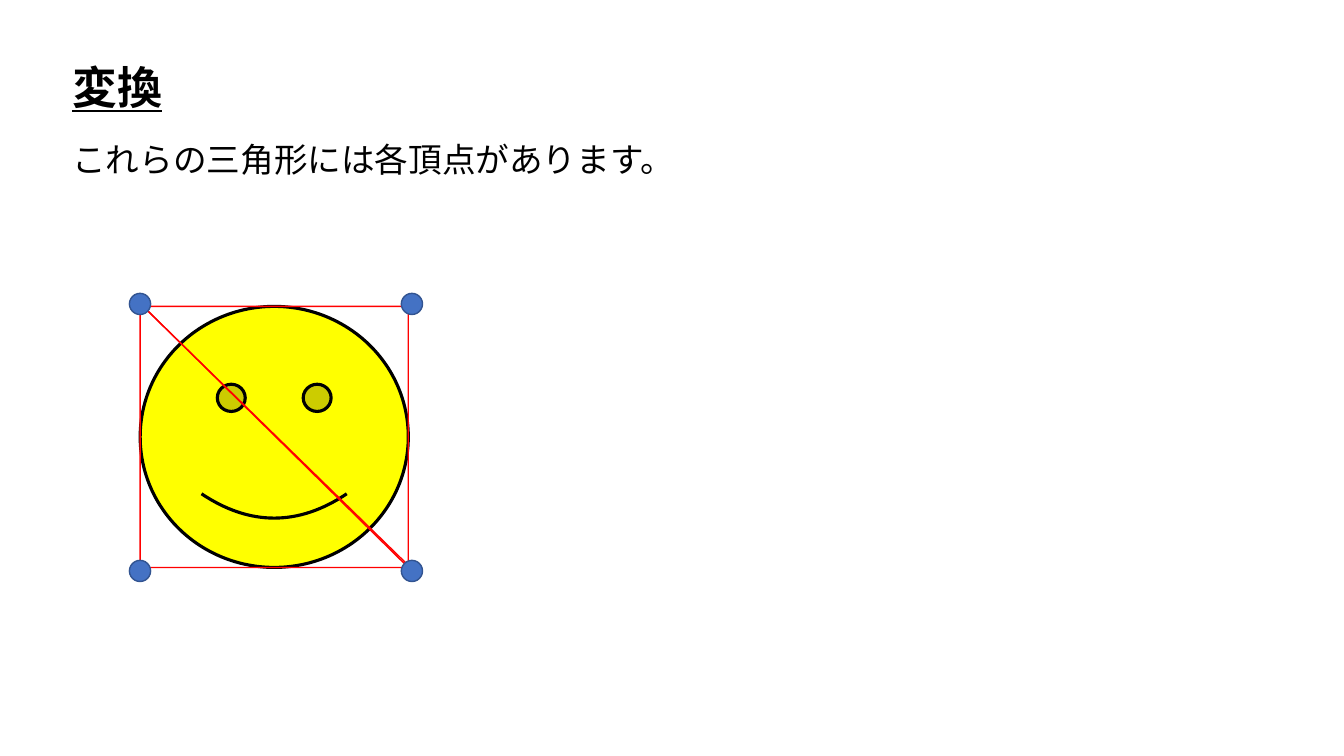
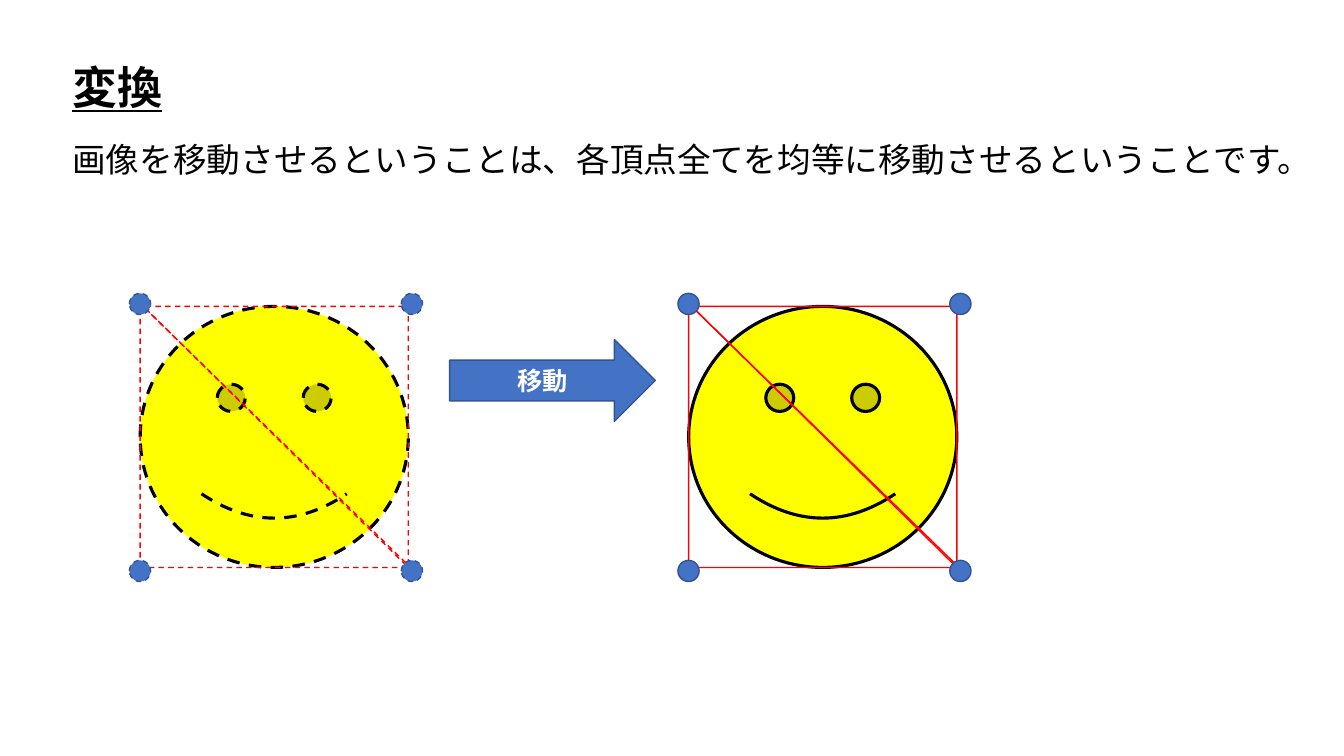
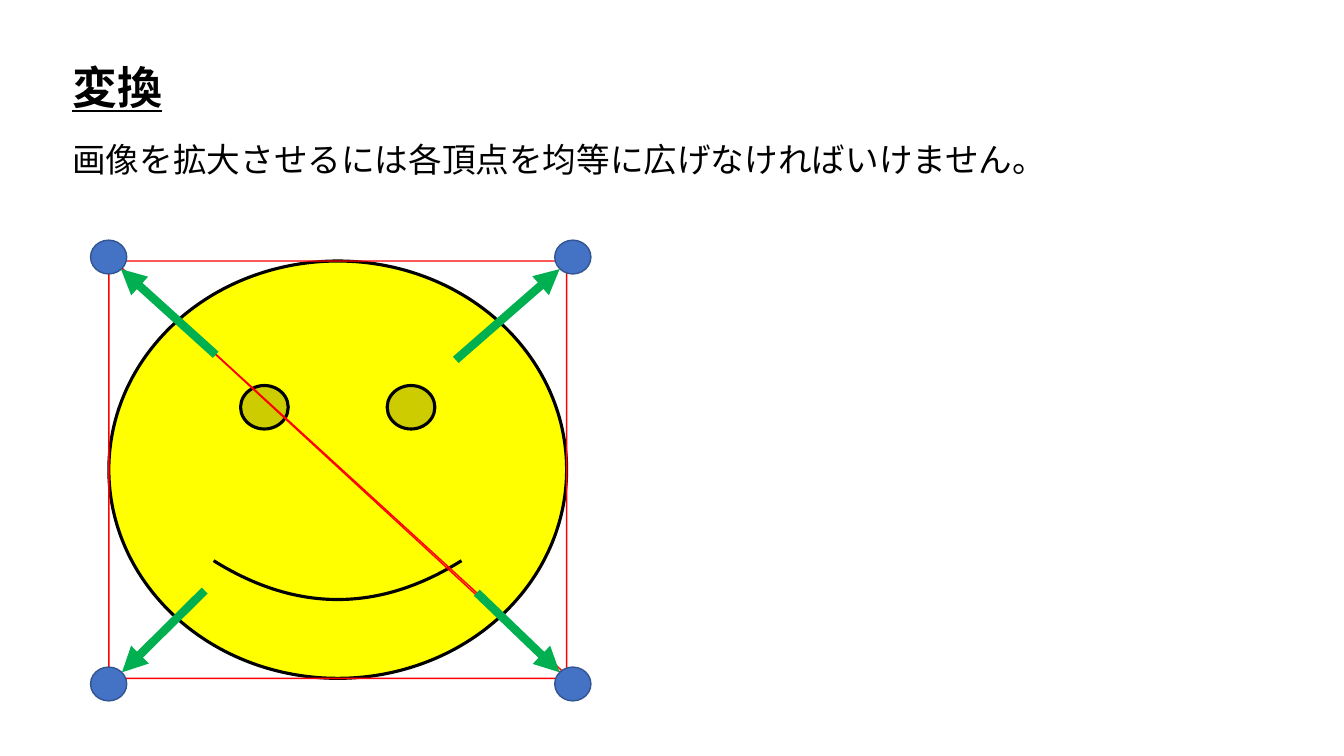
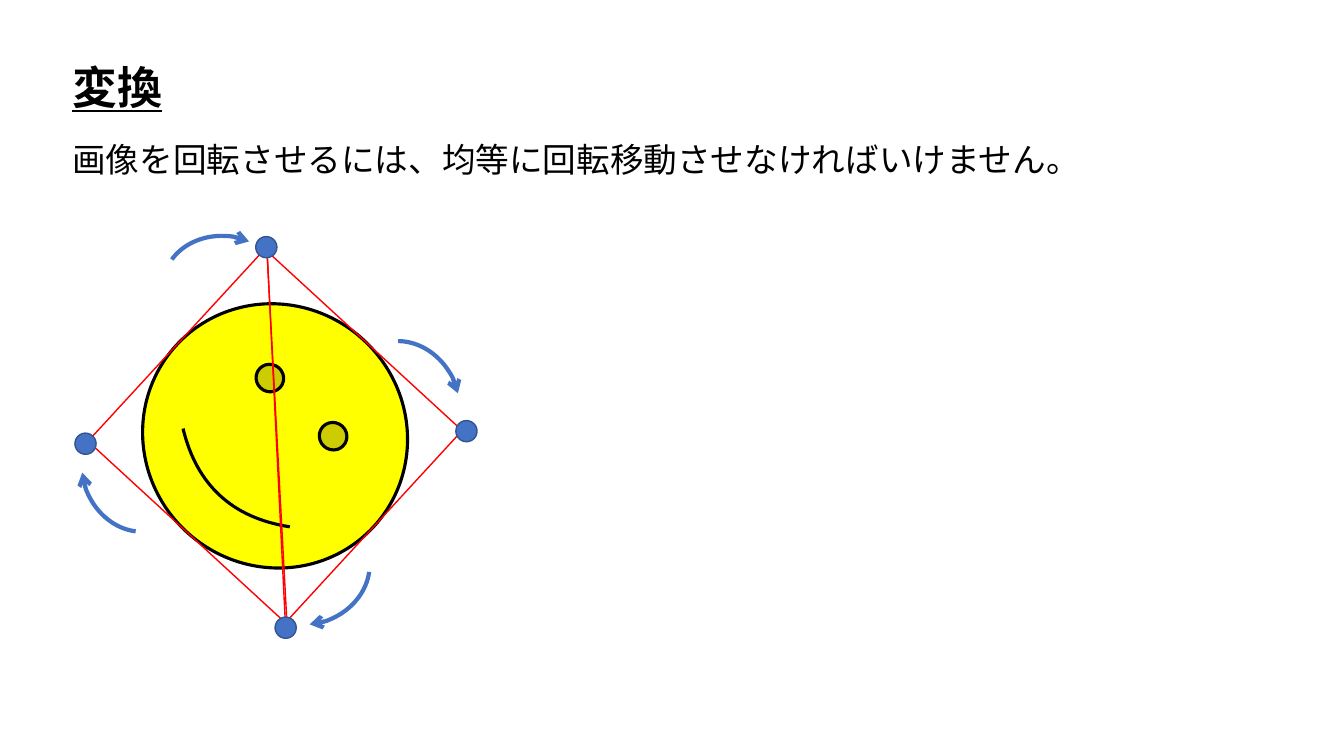
"""Four slides on moving, enlarging and rotating a face by its vertices."""
import itertools
import math

import lxml.etree
import pptx
import pptx.dml.color
import pptx.enum.dml
import pptx.enum.shapes
import pptx.enum.text
import pptx.oxml.ns
import pptx.util

COLORS = {
    "text": "000000", "white": "FFFFFF", "face": "FFFF00", "triangle": "FF0000",
    "vertex": "4472C4", "vertex_edge": "325491", "stretch": "00B050",
}
FONT = "Noto Sans CJK JP"
WIDTH, HEIGHT = pptx.util.Inches(13.33), pptx.util.Inches(7.5)
FACE = (10.43, 40.53, 19.95, 34.53)
MOVED_FACE = (51.24, 40.53, 19.95, 34.53)
LARGE_FACE = (8.1, 34.53, 34.06, 55.2)
FACE_PIVOT = (50.65, 50.2)
TRIANGLES = [((0, -1.2, 100, 101.2), 0), ((1.1, 0, 98.9, 99.2), 180)]
VERTEX_SIZE = (7.9, 8.1)
VERTEX_COLUMNS, VERTEX_ROWS = (97.4, -4), (-5, 97.3)
STRETCHES = [
    ((33.91, 47.6), (41.64, 35.6)),
    ((35.48, 78.4), (41.64, 88.93)),
    ((15.23, 78.13), (9.08, 88.93)),
    ((16.05, 46.93), (9, 35.6)),
]
TURNS = [(12.83, 30, 273.2), (26.48, 44.8, 327.5), (19.43, 67.87, 64.9), (6.23, 54.8, 154)]
TURN_SIZE = (7.5, 15.73)
PRESET = pptx.enum.shapes.MSO_SHAPE


def color(name):
    """Return a named colour."""
    return pptx.dml.color.RGBColor.from_string(COLORS[name])


def across(share):
    """Turn a percentage of the slide's width into a length."""
    return round(WIDTH * share / 100)


def down(share):
    """Turn a percentage of the slide's height into a length."""
    return round(HEIGHT * share / 100)


def place(box):
    """Turn a box in slide percentages into lengths."""
    left, top, width, height = box
    return across(left), down(top), across(width), down(height)


def style_paragraph(paragraph, size, color_name, bold=False, underline=False):
    """Set one look for all the text of a paragraph."""
    font = paragraph.font
    font.size, font.name = pptx.util.Pt(size), FONT
    font.bold, font.underline = bold, underline
    font.color.rgb = color(color_name)
    properties = paragraph._p.find(".//" + pptx.oxml.ns.qn("a:defRPr"))
    lxml.etree.SubElement(properties, pptx.oxml.ns.qn("a:ea"), typeface=FONT)


def style_line(line, color_name, weight, dashed=False, arrowhead=None):
    """Set the colour, weight, dashes and end arrowhead of a line."""
    line.color.rgb = color(color_name)
    line.width = pptx.util.Pt(weight)
    if dashed:
        line.dash_style = pptx.enum.dml.MSO_LINE.DASH
    if arrowhead:
        properties = line._get_or_add_ln()
        lxml.etree.SubElement(properties, pptx.oxml.ns.qn("a:tailEnd"), type=arrowhead)


def add_text_line(slide, text, top, height, size, **emphasis):
    """Add a left-aligned line of text in a box as wide as its characters."""
    width = pptx.util.Inches(0.2) + pptx.util.Pt(len(text) * size * 1.011)
    text_box = slide.shapes.add_textbox(across(4.65), down(top), width, down(height))
    frame = text_box.text_frame
    frame.word_wrap = False
    frame.auto_size = pptx.enum.text.MSO_AUTO_SIZE.SHAPE_TO_FIT_TEXT
    paragraph = frame.paragraphs[0]
    paragraph.text = text
    style_paragraph(paragraph, size, "text", **emphasis)


def add_preset(shapes, preset, box, fill, line, rotation=0):
    """Add a preset shape with an optional fill and a styled line."""
    shape = shapes.add_shape(preset, *place(box))
    shape.shadow.inherit = False
    shape.rotation = rotation % 360
    if fill:
        shape.fill.solid()
        shape.fill.fore_color.rgb = color(fill)
    else:
        shape.fill.background()
    style_line(shape.line, **line)
    return shape


def part_box(face, part, rotation):
    """Place a part given in face percentages, turned about the face's pivot."""
    left, top, width, height = place(face)
    part_left, part_top, part_width, part_height = part
    pivot_x, pivot_y = FACE_PIVOT
    x = (part_left + part_width / 2 - pivot_x) * width / 100
    y = (part_top + part_height / 2 - pivot_y) * height / 100
    angle = math.radians(rotation)
    center_x = left + pivot_x * width / 100 + x * math.cos(angle) - y * math.sin(angle)
    center_y = top + pivot_y * height / 100 + x * math.sin(angle) + y * math.cos(angle)
    box_width, box_height = face[2] * part_width / 100, face[3] * part_height / 100
    return (center_x / WIDTH * 100 - box_width / 2, center_y / HEIGHT * 100 - box_height / 2,
            box_width, box_height)


def add_face(shapes, face, rotation=0, dashed=False):
    """Add a face with its two triangles and four vertices."""
    def add_part(preset, part, fill, line_color, weight, turn=0):
        """Add one part of the face."""
        line = {"color_name": line_color, "weight": weight, "dashed": dashed}
        add_preset(shapes, preset, part_box(face, part, rotation), fill, line, rotation + turn)

    add_part(PRESET.SMILEY_FACE, (0, 0, 100, 100), "face", "text", 2.25)
    for part, turn in TRIANGLES:
        add_part(PRESET.RIGHT_TRIANGLE, part, None, "triangle", 1, turn)
    for corner in itertools.product(VERTEX_COLUMNS, VERTEX_ROWS):
        add_part(PRESET.OVAL, corner + VERTEX_SIZE, "vertex", "vertex_edge", 1)


def add_move_arrow(slide, text):
    """Add the labelled block arrow."""
    line = {"color_name": "vertex_edge", "weight": 1}
    arrow = add_preset(slide.shapes, PRESET.RIGHT_ARROW, (33.46, 44.93, 15.3, 10.8), "vertex", line)
    arrow.text_frame.vertical_anchor = pptx.enum.text.MSO_ANCHOR.MIDDLE
    paragraph = arrow.text_frame.paragraphs[0]
    paragraph.text = text
    paragraph.alignment = pptx.enum.text.PP_ALIGN.CENTER
    style_paragraph(paragraph, 18, "white", bold=True)


def add_stretch_arrow(slide, start, end):
    """Add a straight arrow that pulls a vertex outwards."""
    connector = slide.shapes.add_connector(
        pptx.enum.shapes.MSO_CONNECTOR.STRAIGHT,
        across(start[0]), down(start[1]), across(end[0]), down(end[1]))
    style_line(connector.line, "stretch", 6, arrowhead="triangle")
    lxml.etree.SubElement(connector._element.spPr, pptx.oxml.ns.qn("a:effectLst"))


def add_turn_arrow(slide, left, top, rotation):
    """Add a curved arrow that turns a vertex."""
    line = {"color_name": "vertex", "weight": 3, "arrowhead": "arrow"}
    arc = add_preset(slide.shapes, PRESET.ARC, (left, top) + TURN_SIZE, None, line, rotation)
    arc.adjustments[0], arc.adjustments[1] = 176.7, 16.3


def add_slide(presentation, sentence):
    """Add a blank slide with the shared title and one sentence."""
    slide = presentation.slides.add_slide(presentation.slide_layouts[6])
    add_text_line(slide, "変換", 7.2, 8.53, 32, bold=True, underline=True)
    add_text_line(slide, sentence, 17.73, 6.67, 24)
    return slide


def main():
    """Build and save the slides."""
    presentation = pptx.Presentation()
    presentation.slide_width, presentation.slide_height = WIDTH, HEIGHT

    slide = add_slide(presentation, "これらの三角形には各頂点があります。")
    add_face(slide.shapes, FACE)

    slide = add_slide(presentation, "画像を移動させるということは、各頂点全てを均等に移動させるということです。")
    add_face(slide.shapes, FACE, dashed=True)
    add_face(slide.shapes, MOVED_FACE)
    add_move_arrow(slide, "移動")

    slide = add_slide(presentation, "画像を拡大させるには各頂点を均等に広げなければいけません。")
    add_face(slide.shapes.add_group_shape().shapes, LARGE_FACE)
    for start, end in STRETCHES:
        add_stretch_arrow(slide, start, end)

    slide = add_slide(presentation, "画像を回転させるには、均等に回転移動させなければいけません。")
    add_face(slide.shapes.add_group_shape().shapes, FACE, rotation=42.6)
    for left, top, rotation in TURNS:
        add_turn_arrow(slide, left, top, rotation)

    presentation.save("out.pptx")


if __name__ == "__main__":
    main()
